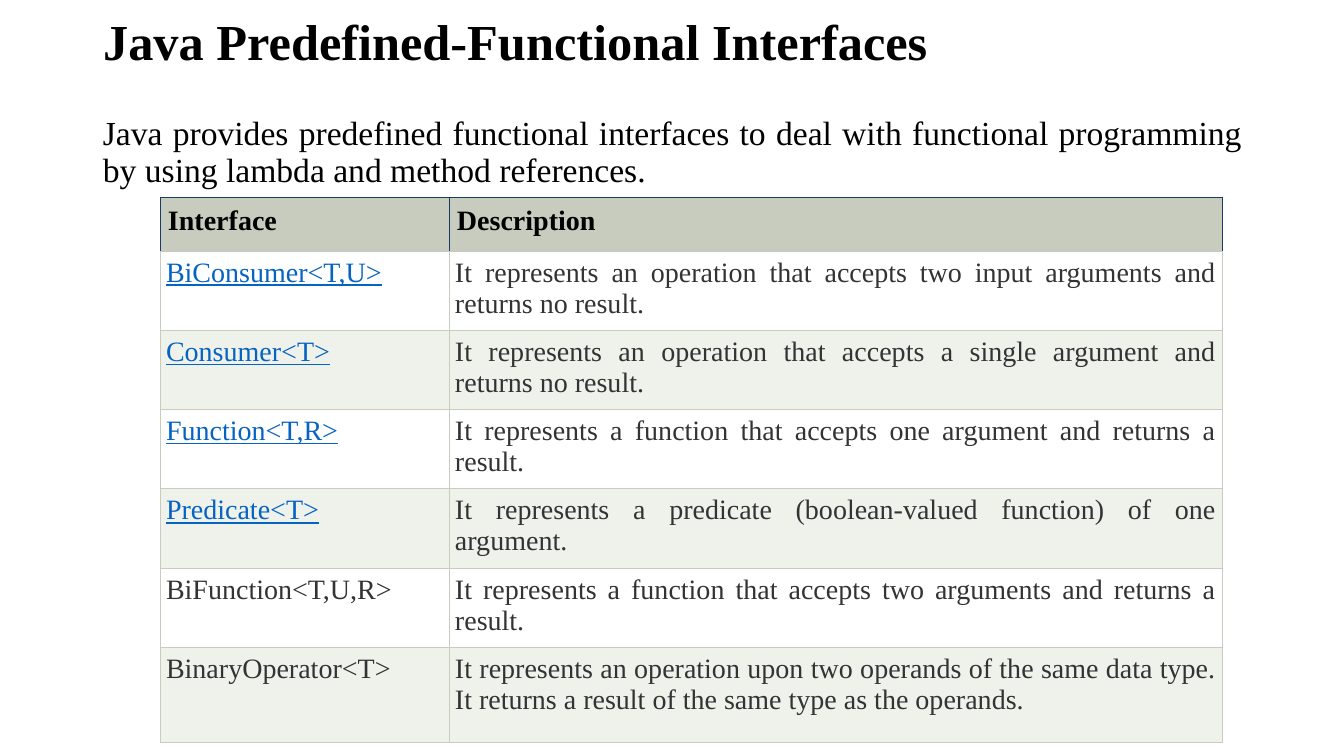
from lxml.etree import SubElement
from pptx import Presentation
from pptx.dml.color import RGBColor
from pptx.enum.text import MSO_ANCHOR as ANCHOR, PP_ALIGN as ALIGN
from pptx.oxml.ns import qn
from pptx.util import Pt

EMU_PER_PX = 914400 / 100.8
FONT = "Times New Roman"
COLORS = {
    "black": "000000", "text": "333333", "link": "0563C1",
    "header": "C7CCBE", "band": "EFF1EB", "white": "FFFFFF",
    "grid": "C7CCBE", "header_line": "183B65",
}
HEADERS = ("Interface", "Description")
# Interface, description, shown as a link
INTERFACES = [
    ("BiConsumer<T,U>", "It represents an operation that accepts two input "
     "arguments and returns no result.", True),
    ("Consumer<T>", "It represents an operation that accepts a single "
     "argument and returns no result.", True),
    ("Function<T,R>", "It represents a function that accepts one argument "
     "and returns a result.", True),
    ("Predicate<T>", "It represents a predicate (boolean-valued function) "
     "of one argument.", True),
    ("BiFunction<T,U,R>", "It represents a function that accepts two "
     "arguments and returns a result.", False),
    ("BinaryOperator<T>", "It represents an operation upon two operands of "
     "the same data type. It returns a result of the same type as the "
     "operands.", False),
]
COLUMN_WIDTHS = (289, 773)
ROW_HEIGHTS = (54, 74, 74, 74, 74, 74, 95)


def px(n):
    return round(n * EMU_PER_PX)


def rgb(name):
    return RGBColor.from_string(COLORS[name])


def write(tf, text, size=20, color="text", bold=False, underline=False,
          align=ALIGN.LEFT, spacing=None):
    tf.word_wrap = True
    p = tf.paragraphs[0]
    p.alignment = align
    if spacing:
        p.line_spacing = spacing
    r = p.add_run()
    r.text = text
    r.font.name, r.font.size = FONT, Pt(size)
    r.font.bold, r.font.underline = bold, underline
    r.font.color.rgb = rgb(color)


def add_title(s, text):
    sp = s.shapes.title
    sp.left, sp.top, sp.width, sp.height = px(93), 0, px(1159), px(146)
    tf = sp.text_frame
    tf.vertical_anchor = ANCHOR.MIDDLE
    tf.margin_bottom = px(62)  # lifts the title above the intro
    write(tf, text, size=36, color="black", bold=True, spacing=0.9)


def add_intro(s, text):
    sp = s.shapes.add_textbox(px(93), px(112), px(1159), px(569))
    write(sp.text_frame, text, size=24, color="black",
          align=ALIGN.JUSTIFY, spacing=0.9)


def set_borders(cell, **sides):
    tc_pr = cell._tc.get_or_add_tcPr()
    for side in "LRTB":
        ln = SubElement(tc_pr, qn(f"a:ln{side}"), w=str(Pt(0.75)))
        fill = SubElement(ln, qn("a:solidFill"))
        SubElement(fill, qn("a:srgbClr"), val=COLORS[sides.get(side, "grid")])


def fill_cell(cell, text, fill, margin, borders, **fmt):
    set_borders(cell, **borders)
    cell.fill.solid()
    cell.fill.fore_color.rgb = rgb(fill)
    cell.margin_left = cell.margin_right = px(margin)
    cell.margin_top = cell.margin_bottom = px(margin)
    write(cell.text_frame, text, **fmt)


def add_interface_table(s):
    table = s.shapes.add_table(
        len(ROW_HEIGHTS), len(COLUMN_WIDTHS), px(160), px(197),
        px(sum(COLUMN_WIDTHS)), px(sum(ROW_HEIGHTS))).table
    for column, width in zip(table.columns, COLUMN_WIDTHS):
        column.width = px(width)
    for row, height in zip(table.rows, ROW_HEIGHTS):
        row.height = px(height)

    # Header row
    dark = dict.fromkeys("LRT", "header_line")
    for j, text in enumerate(HEADERS):
        fill_cell(table.cell(0, j), text, "header", 8, dark,
                  color="black", bold=True)

    # Banded body rows
    for i, (name, description, is_link) in enumerate(INTERFACES, 1):
        fill = "white" if i % 2 else "band"
        fill_cell(table.cell(i, 0), name, fill, 6, {}, align=ALIGN.JUSTIFY,
                  color="link" if is_link else "text", underline=is_link)
        fill_cell(table.cell(i, 1), description, fill, 6, {},
                  align=ALIGN.JUSTIFY)


def main():
    prs = Presentation()
    prs.slide_width, prs.slide_height = px(1344), px(756)
    s = prs.slides.add_slide(prs.slide_layouts[5])
    add_title(s, "Java Predefined-Functional Interfaces")
    add_intro(s, "Java provides predefined functional interfaces to deal with "
                 "functional programming by using lambda and method "
                 "references.")
    add_interface_table(s)
    prs.save("out.pptx")


if __name__ == "__main__":
    main()
